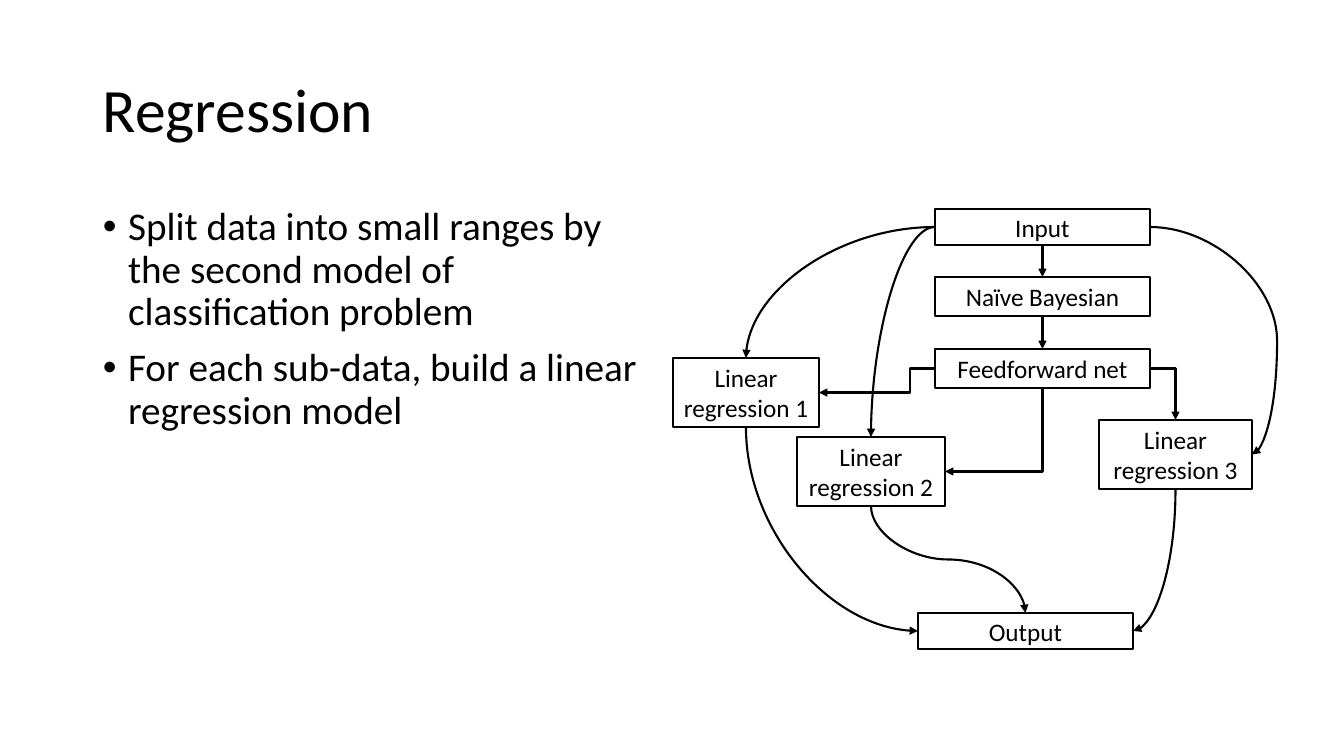
from lxml import etree
from pptx import Presentation
from pptx import util as u
from pptx.dml.color import RGBColor
from pptx.enum import shapes, text
from pptx.oxml.ns import qn

SCALE = 914400 / 100.8
FONT, INK, PAPER = "Calibri", "000000", "FFFFFF"

TITLE = "Regression"
POINTS = [
    "Split data into small ranges by the second model of classification problem",
    "For each sub-data, build a linear regression model",
]
# name: (label, left, top, width, height)
NODES = {
    "bayes": ("Naïve Bayesian", 935, 277, 215, 39),
    "net": ("Feedforward net", 935, 349, 215, 39),
    "input": ("Input", 935, 209, 215, 36),
    "output": ("Output", 918, 613, 215, 36),
    "lin1": ("Linear regression 1", 673, 358, 146, 69),
    "lin2": ("Linear regression 2", 797, 437, 148, 69),
    "lin3": ("Linear regression 3", 1099, 420, 153, 69),
}
# Connection sites of a rectangle
TOP, LEFT, BOTTOM, RIGHT = range(4)
# (start, site, end, site, preset, bend in percent of the span)
LINKS = [
    ("input", BOTTOM, "bayes", TOP, "line", None),
    ("bayes", BOTTOM, "net", TOP, "line", None),
    ("net", LEFT, "lin1", RIGHT, "bentConnector3", 21.2),
    ("net", BOTTOM, "lin2", RIGHT, "bentConnector2", None),
    ("net", RIGHT, "lin3", TOP, "bentConnector2", None),
    ("input", LEFT, "lin1", TOP, "curvedConnector2", None),
    ("input", RIGHT, "lin3", RIGHT, "curvedConnector3", 124.7),
    ("input", LEFT, "lin2", TOP, "curvedConnector2", None),
    ("lin1", BOTTOM, "output", LEFT, "curvedConnector2", None),
    ("lin2", BOTTOM, "output", TOP, "curvedConnector3", 50),
    ("lin3", BOTTOM, "output", RIGHT, "curvedConnector2", None),
]


def px(*vals):
    """Turn pixels into EMU."""
    return [u.Emu(round(v * SCALE)) for v in vals]


def color(code):
    """Turn a hex string into a colour."""
    return RGBColor.from_string(code)


def style(para, size):
    """Format the runs of a paragraph."""
    for run in para.runs:
        run.font.name, run.font.size = FONT, u.Pt(size)
        run.font.color.rgb = color(INK)


def add_text(slide, lines, box, size, anchor):
    """Add a wrapped text box and return its paragraphs."""
    frame = slide.shapes.add_textbox(*px(*box)).text_frame
    frame.word_wrap, frame.vertical_anchor = True, anchor
    frame.text = "\n".join(lines)
    for para in frame.paragraphs:
        para.line_spacing = 0.9
        style(para, size)
    return frame.paragraphs


def bullet(para):
    """Give a paragraph a bullet and a hanging indent."""
    para.space_before = u.Pt(10)
    props = para._p.get_or_add_pPr()
    props.set("marL", str(u.Inches(0.25)))
    props.set("indent", str(-u.Inches(0.25)))
    etree.SubElement(props, qn("a:buFont")).set("typeface", "Arial")
    etree.SubElement(props, qn("a:buChar")).set("char", "•")


def add_node(slide, label, *box):
    """Add one labelled box of the diagram."""
    node = slide.shapes.add_shape(shapes.MSO_SHAPE.RECTANGLE, *px(*box))
    node.shadow.inherit = False
    node.fill.solid()
    node.fill.fore_color.rgb = color(PAPER)
    node.line.color.rgb, node.line.width = color(INK), u.Pt(1)
    frame = node.text_frame
    frame.word_wrap, frame.vertical_anchor = True, text.MSO_ANCHOR.MIDDLE
    frame.text = label
    frame.paragraphs[0].alignment = text.PP_ALIGN.CENTER
    style(frame.paragraphs[0], 18)
    return node


def turn(link):
    """Rotate a connector a quarter so that it starts downwards."""
    dx, dy = link.end_x - link.begin_x, link.end_y - link.begin_y
    mid_x, mid_y = link.begin_x + dx / 2, link.begin_y + dy / 2
    wide, high = abs(dy), abs(dx)
    link.left, link.top = round(mid_x - wide / 2), round(mid_y - high / 2)
    link.width, link.height = wide, high
    frame = link._element.spPr.find(qn("a:xfrm"))
    frame.set("rot", str(90 * 60000))
    frame.set("flipH", "0")
    frame.set("flipV", str(int(dx > 0)))


def add_link(slide, start, out, end, into, preset, bend):
    """Join two boxes with an arrow."""
    link = slide.shapes.add_connector(shapes.MSO_CONNECTOR.STRAIGHT, 0, 0, 0, 0)
    link.begin_connect(start, out)
    link.end_connect(end, into)
    if out == BOTTOM and preset != "line":
        turn(link)
    props = link._element.spPr
    geom = props.find(qn("a:prstGeom"))
    geom.set("prst", preset)
    if bend is not None:
        guide = etree.SubElement(geom.find(qn("a:avLst")), qn("a:gd"))
        guide.set("name", "adj1")
        guide.set("fmla", f"val {round(bend * 1000)}")
    link.line.color.rgb, link.line.width = color(INK), u.Pt(1.5)
    tail = etree.SubElement(link.line._get_or_add_ln(), qn("a:tailEnd"))
    tail.set("type", "triangle")
    etree.SubElement(props, qn("a:effectLst"))


deck = Presentation()
deck.slide_width, deck.slide_height = px(1344, 756)
slide = deck.slides.add_slide(deck.slide_layouts[6])

add_text(slide, [TITLE], (93, 40, 1159, 146), 44, text.MSO_ANCHOR.MIDDLE)
for para in add_text(slide, POINTS, (93, 202, 574, 480), 28, text.MSO_ANCHOR.TOP):
    bullet(para)

nodes = {name: add_node(slide, *row) for name, row in NODES.items()}
for start, out, end, into, preset, bend in LINKS:
    add_link(slide, nodes[start], out, nodes[end], into, preset, bend)

deck.save("out.pptx")
